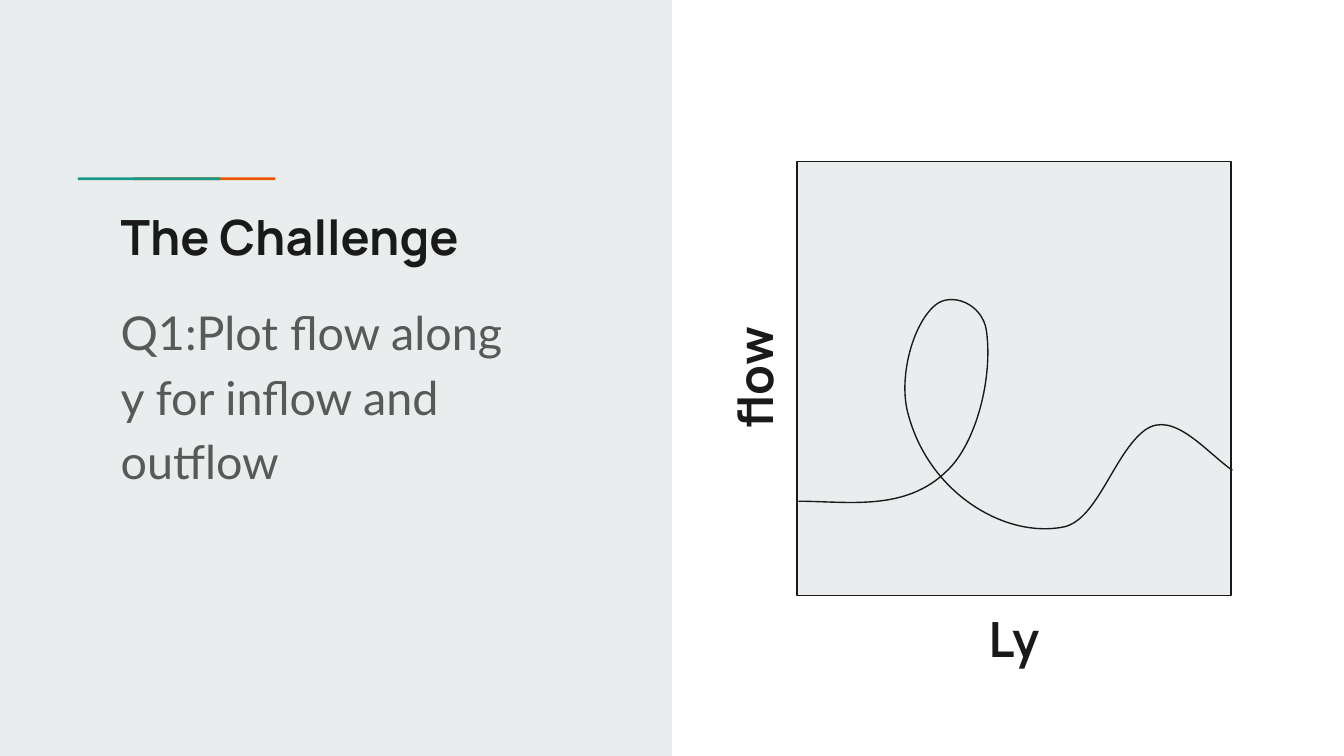
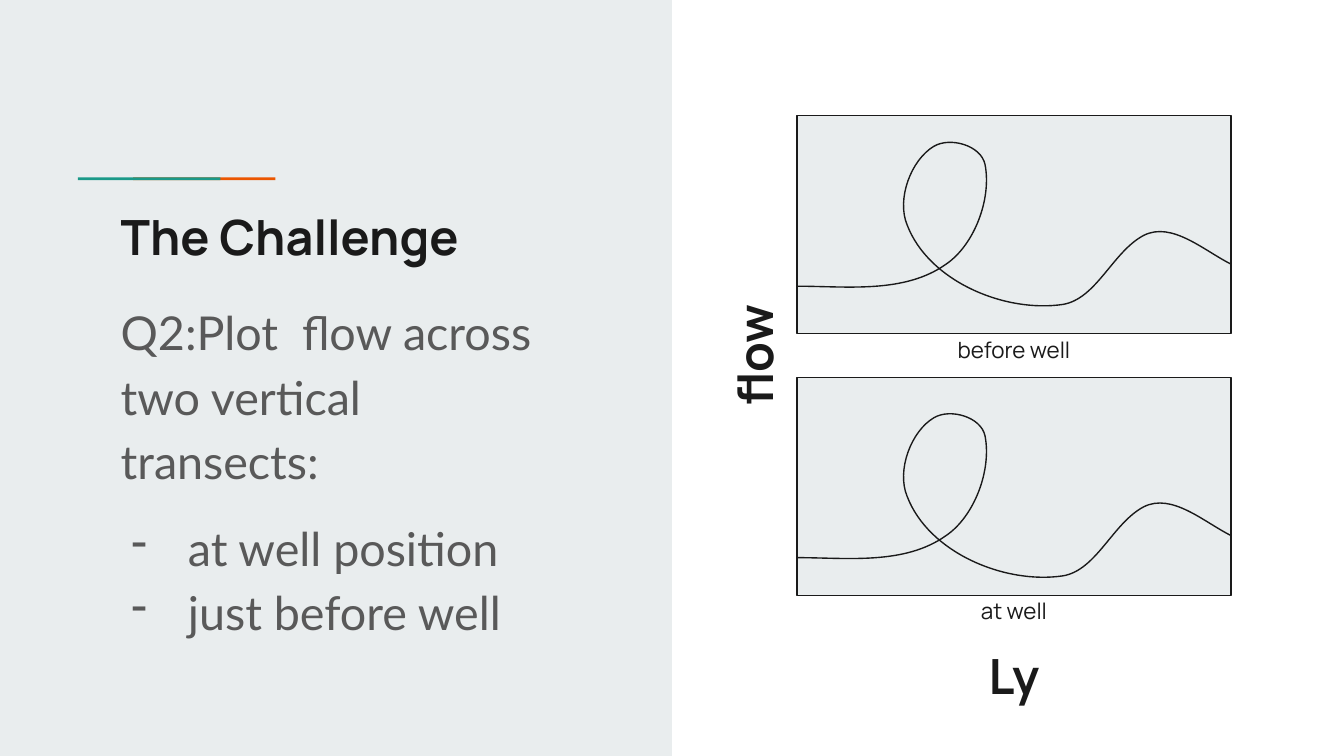
from dataclasses import dataclass

from lxml.etree import SubElement
from pptx import Presentation
from pptx.dml.color import RGBColor
from pptx.enum.shapes import MSO_SHAPE
from pptx.enum.text import MSO_ANCHOR, PP_ALIGN
from pptx.oxml.ns import qn
from pptx.util import Inches, Pt


@dataclass(frozen=True)
class Theme:
    ink: str = "1A1A1A"
    body: str = "595959"
    panel: str = "E9EDEE"
    teal: str = "1A9988"
    orange: str = "EB5600"
    head_font: str = "Manrope"
    body_font: str = "Lato"
    head_size: int = 26
    body_size: int = 25
    caption_size: int = 12
    line: float = 0.75


T = Theme()
WIDTH, HEIGHT = 10, 10 * 9 / 16
PLOT_X, PLOT_W = 5.93, 3.23
LABEL_H, CAPTION_H = 0.66, 0.41

# Bezier points of the flow curve, from the top left of its box
CURVE_H = 1.71
CURVE = [
    (0, 1.5),
    (0.37, 1.5), (0.8, 1.58), (1.11, 1.27),
    (1.32, 1.07), (1.45, 0.59), (1.4, 0.23),
    (1.37, 0.03), (1.14, -0.06), (1.02, 0.04),
    (0.85, 0.18), (0.74, 0.59), (0.82, 0.86),
    (0.98, 1.45), (1.55, 1.78), (1.98, 1.69),
    (2.23, 1.63), (2.35, 1.14), (2.58, 0.97),
    (2.79, 0.82), (3.03, 1.13), (3.23, 1.27),
]

# Plots: top, height, curve left, curve top, curve height, caption, caption top
SLIDES = [
    {
        "body_w": 3.09,
        "question": "Q1:Plot flow along y for inflow and outflow",
        "bullets": [],
        "plots": [(1.2, 3.23, 5.94, 2.23, CURVE_H, None, None)],
        "flow": (3.98, 2.48, 3.23),
        "ly_top": 4.43,
    },
    {
        "body_w": 3.35,
        "question": "Q2:Plot  flow across two vertical transects:",
        "bullets": ["at well position", "just before well"],
        "plots": [
            (0.86, 1.62, 5.93, 1.06, 1.22, "before well", 2.4),
            (2.81, 1.62, 5.93, 3.08, 1.22, "at well", 4.34),
        ],
        "flow": (3.81, 2.31, 3.57),
        "ly_top": 4.71,
    },
]


def add_rect(s, x, y, w, h, fill, line=None):
    sp = s.shapes.add_shape(MSO_SHAPE.RECTANGLE, Inches(x), Inches(y), Inches(w), Inches(h))
    sp.shadow.inherit = False
    sp.fill.solid()
    sp.fill.fore_color.rgb = RGBColor.from_string(fill)
    if line:
        sp.line.color.rgb = RGBColor.from_string(line)
        sp.line.width = Pt(T.line)
    else:
        sp.line.fill.background()


def add_text(s, x, y, w, h, lines, size=T.head_size, font=T.head_font,
             color=T.ink, bold=True, align=PP_ALIGN.LEFT):
    """Add a wrapped text box with one paragraph per line and return it."""
    sp = s.shapes.add_textbox(Inches(x), Inches(y), Inches(w), Inches(h))
    tf = sp.text_frame
    tf.word_wrap = True
    tf.margin_left = tf.margin_right = tf.margin_top = tf.margin_bottom = Inches(0.1)
    for i, line in enumerate(lines):
        p = tf.add_paragraph() if i else tf.paragraphs[0]
        p.alignment = align
        r = p.add_run()
        r.text = line
        r.font.size = Pt(size)
        r.font.name = font
        r.font.bold = bold
        r.font.color.rgb = RGBColor.from_string(color)
    return sp


prs = Presentation()
prs.slide_width, prs.slide_height = Inches(WIDTH), Inches(HEIGHT)

for data in SLIDES:
    s = prs.slides.add_slide(prs.slide_layouts[6])

    # Left half: panel, accent line, title and question
    add_rect(s, 0, 0, WIDTH / 2, HEIGHT, T.panel)
    for x, color in ((0.99, T.orange), (0.58, T.teal)):
        add_rect(s, x, 1.32, 1.06, 0.02, color)
    add_text(s, 0.8, 1.44, 3.61, LABEL_H, ["The Challenge"])
    body = add_text(s, 0.8, 2.1, data["body_w"], 3.31, [data["question"], *data["bullets"]],
                    T.body_size, T.body_font, T.body, bold=False)
    question, *bullets = body.text_frame.paragraphs
    question.line_spacing = 1.15
    question.space_after = Pt(0 if bullets else 12)
    for i, p in enumerate(bullets):
        p.line_spacing = 1.15
        p.space_before = Pt(0 if i else 12)
        pPr = p._p.get_or_add_pPr()
        pPr.set("marL", str(Inches(0.5)))
        pPr.set("indent", str(Inches(-0.42)))
        SubElement(SubElement(pPr, qn("a:buClr")), qn("a:srgbClr")).set("val", T.body)
        SubElement(pPr, qn("a:buChar")).set("char", "-")

    # Right half: plots with their curves and captions
    for top, height, curve_x, curve_y, curve_h, caption, caption_y in data["plots"]:
        add_rect(s, PLOT_X, top, PLOT_W, height, T.panel, T.ink)
        points = [(Inches(curve_x + x), Inches(curve_y + y * curve_h / CURVE_H))
                  for x, y in CURVE]
        fb = s.shapes.build_freeform(*points[0])
        fb.add_line_segments(points[1:], close=False)
        curve = fb.convert_to_shape()
        curve.shadow.inherit = False
        curve.fill.background()
        curve.line.color.rgb = RGBColor.from_string(T.ink)
        curve.line.width = Pt(T.line)

        # Every three line segments become one Bezier segment
        segments = list(curve._element.iter(qn("a:lnTo")))
        outline = segments[0].getparent()
        for i in range(0, len(segments), 3):
            bezier = SubElement(outline, qn("a:cubicBezTo"))
            for segment in segments[i:i + 3]:
                bezier.append(segment[0])
                outline.remove(segment)

        if caption:
            add_text(s, PLOT_X, caption_y, PLOT_W, CAPTION_H, [caption],
                     T.caption_size, bold=False, align=PP_ALIGN.CENTER)

    # Axis names
    x, y, w = data["flow"]
    flow = add_text(s, x, y, w, LABEL_H, ["flow"], align=PP_ALIGN.CENTER)
    flow.rotation = 270
    flow.text_frame.vertical_anchor = MSO_ANCHOR.BOTTOM
    add_text(s, PLOT_X, data["ly_top"], PLOT_W, LABEL_H, ["Ly"], align=PP_ALIGN.CENTER)

prs.save("out.pptx")
